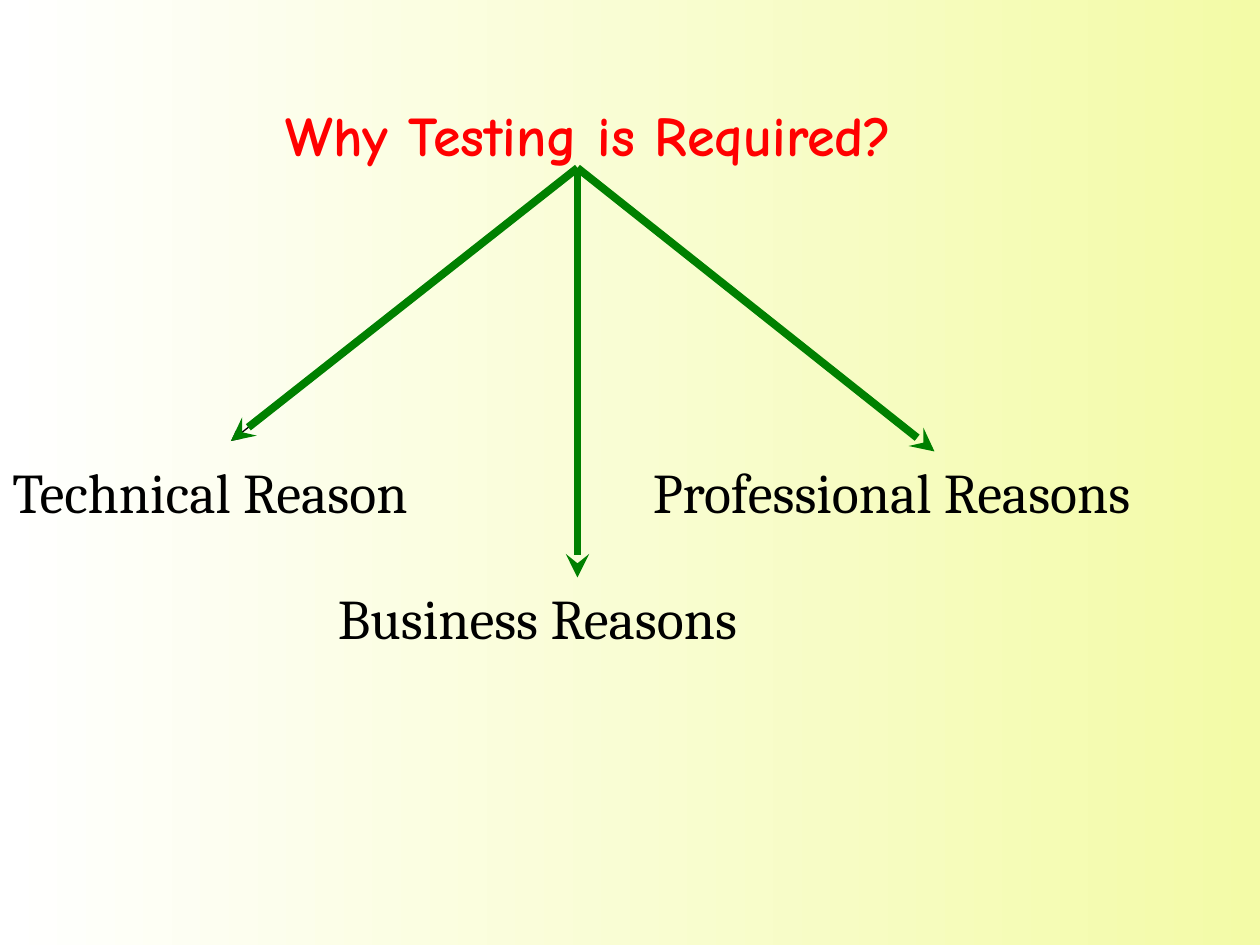
from dataclasses import dataclass

from pptx import Presentation
from pptx.dml.color import RGBColor as RGB
from pptx.enum.shapes import MSO_CONNECTOR as Connector
from pptx.enum.text import MSO_ANCHOR as Anchor, MSO_AUTO_SIZE as AutoSize, PP_ALIGN as Align
from pptx.oxml.ns import qn
from pptx.util import Inches, Pt
from lxml.etree import SubElement


@dataclass(frozen=True)
class Theme:
    title_color: RGB = RGB(0xFF, 0x00, 0x00)
    text_color: RGB = RGB(0x00, 0x00, 0x00)
    arrow_color: RGB = RGB(0x00, 0x80, 0x00)
    background: tuple = (RGB(0xF3, 0xFB, 0xA7), RGB(0xFF, 0xFF, 0xFF))
    title_font: str = "Comic Neue"
    text_font: str = "Cambria"
    text_size: Pt = Pt(32)
    arrow_width: Pt = Pt(4.5)
    thin_width: Pt = Pt(0.75)


THEME = Theme()
SLIDE_WIDTH, SLIDE_HEIGHT = Inches(10), Inches(7.5)
COLUMN, ROW = SLIDE_WIDTH / 120, SLIDE_HEIGHT / 90
BOX_COLUMNS, BOX_ROWS = 73, 7.7


def grid(columns, rows):
    return round(columns * COLUMN), round(rows * ROW)


def paint_background(slide):
    fill = slide.background.fill
    fill.gradient()
    fill.gradient_angle = 180
    for stop, color in zip(fill.gradient_stops, THEME.background):
        stop.color.rgb = color


def format_text(shape, text, font_name, color, bold=False):
    frame = shape.text_frame
    frame.text = text
    frame.word_wrap = True
    frame.auto_size = AutoSize.SHAPE_TO_FIT_TEXT
    frame.vertical_anchor = Anchor.TOP
    paragraph = frame.paragraphs[0]
    paragraph.alignment = Align.LEFT
    font = paragraph.font
    font.name, font.size, font.bold = font_name, THEME.text_size, bold
    font.color.rgb = color


def set_title(slide, text, column, row):
    title = slide.shapes.title
    title.left, title.top = grid(column, row)
    title.width, title.height = grid(BOX_COLUMNS, BOX_ROWS)
    format_text(title, text, THEME.title_font, THEME.title_color, bold=True)


def add_reason(slide, text, column, row):
    box = slide.shapes.add_textbox(*grid(column, row), *grid(BOX_COLUMNS, BOX_ROWS))
    format_text(box, text, THEME.text_font, THEME.text_color)


def add_arrow(slide, start, end, color, width, head):
    arrow = slide.shapes.add_connector(Connector.STRAIGHT, *grid(*start), *grid(*end))
    arrow.line.color.rgb = color
    arrow.line.width = width
    SubElement(arrow.line._get_or_add_ln(), qn("a:tailEnd"), type=head)
    SubElement(arrow._element.spPr, qn("a:effectLst"))


def main():
    presentation = Presentation()
    presentation.slide_width, presentation.slide_height = SLIDE_WIDTH, SLIDE_HEIGHT
    slide = presentation.slides.add_slide(presentation.slide_layouts[5])
    paint_background(slide)
    set_title(slide, "Why Testing is Required?", 26, 9)

    for text, column, row in (
        ("Professional Reasons", 61, 43),
        ("Technical Reason", 0, 43),
        ("Business Reasons", 31, 55),
    ):
        add_reason(slide, text, column, row)

    origin, technical, professional, business = (55, 16), (22, 42), (89, 43), (55, 55)
    add_arrow(slide, origin, technical, THEME.text_color, THEME.thin_width, "triangle")
    for target in (technical, professional, business):
        add_arrow(slide, origin, target, THEME.arrow_color, THEME.arrow_width, "stealth")

    presentation.save("out.pptx")


if __name__ == "__main__":
    main()
